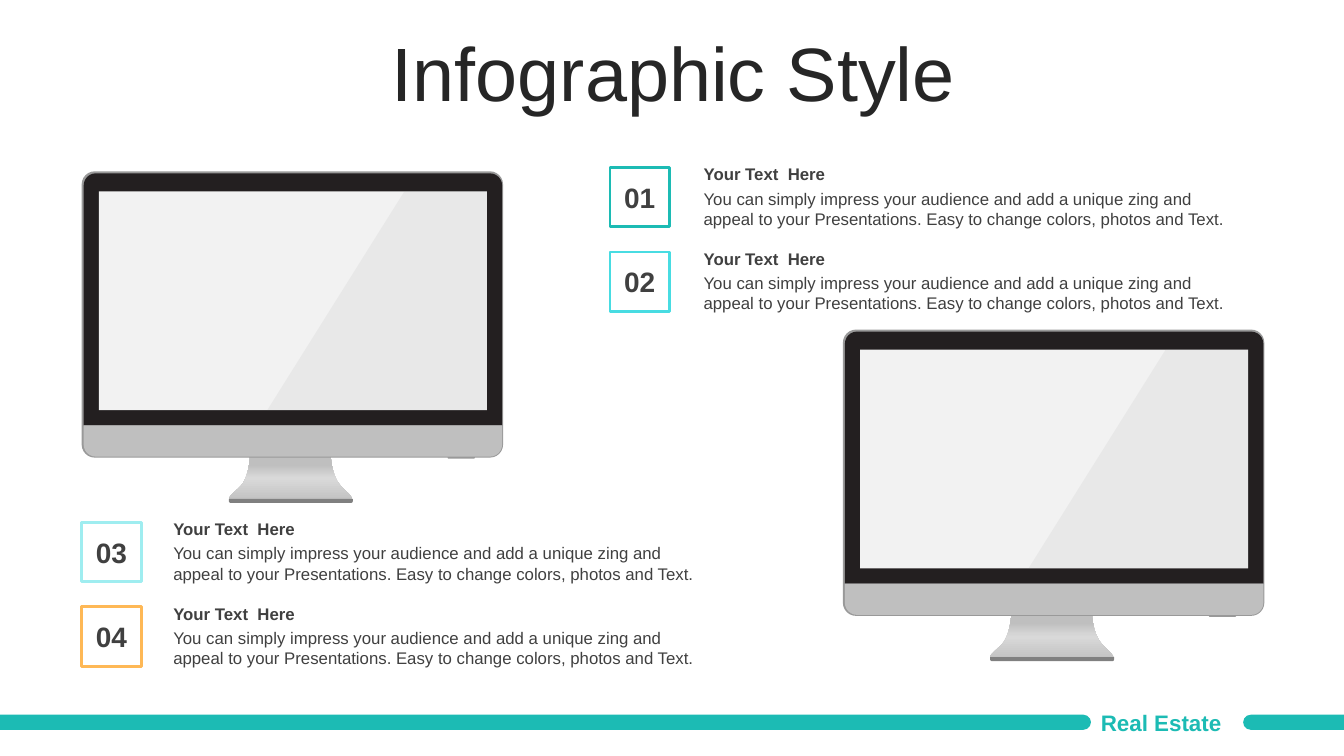
import lxml.etree
import pptx
import pptx.dml.color
import pptx.enum.shapes
import pptx.enum.text
import pptx.oxml.ns
import pptx.util

PX = 9144  # 100 px to the inch
FONT = "Arial"
COLORS = {
    "teal": "1CBBB4", "cyan": "48DCE2", "pale": "9FEDF0", "orange": "FEB856",
    "title": "262626", "text": "404040", "edge": "999999", "bezel": "231F20",
    "metal": "BFBFBF", "shine": "D9D9D9", "base": "808080", "screen": "F2F2F2",
}
HEADING = "Your Text  Here"
BODY = ("You can simply impress your audience and add a unique zing and "
        "appeal to your Presentations. Easy to change colors, photos and Text.")
NECK_START = (257, 312)
NECK_CURVES = [
    [(248, 303), (247, 283), (247, 283)],
    [(247, 283), (167, 283), (167, 283)],
    [(167, 283), (166, 303), (158, 312)],
    [(149, 321), (135, 329), (159, 329)],
    [(159, 329), (255, 329), (255, 329)],
    [(279, 329), (265, 321), (257, 312)],
]
GLARE = [(320, 20), (402, 20), (402, 237), (184, 237)]
SHAPES = pptx.enum.shapes.MSO_SHAPE
ALIGN = pptx.enum.text.PP_ALIGN
ANCHOR = pptx.enum.text.MSO_ANCHOR
qn = pptx.oxml.ns.qn


def rgb(name):
    return pptx.dml.color.RGBColor.from_string(COLORS[name])


def paint(sp, color):
    sp.shadow.inherit = False
    sp.line.fill.background()
    sp.fill.solid()
    sp.fill.fore_color.rgb = rgb(color)


def add_preset(s, kind, x, y, w, h, color, *radii):
    """Add a filled preset whose corner radii are given in px."""
    sp = s.shapes.add_shape(kind, x * PX, y * PX, w * PX, h * PX)
    paint(sp, color)
    for i, radius in enumerate(radii):
        sp.adjustments[i] = radius / min(w, h)
    return sp


def add_outline(s, x, y, points, color):
    """Add a closed filled polygon whose points are relative to (x, y)."""
    corners = [((x + px) * PX, (y + py) * PX) for px, py in points]
    builder = s.shapes.build_freeform(*corners[0])
    builder.add_line_segments(corners[1:], close=True)
    sp = builder.convert_to_shape()
    paint(sp, color)
    return sp


def trace(start, curves, steps=12):
    """Return points along a chain of cubic curves."""
    points = [start]
    for a, b, c in curves:
        o = points[-1]
        for i in range(1, steps + 1):
            t = i / steps
            u = 1 - t
            points.append(tuple(
                u**3 * o[k] + 3 * u * u * t * a[k] + 3 * u * t * t * b[k] + t**3 * c[k]
                for k in (0, 1)))
    return points


def set_metal_gradient(sp):
    sp.fill.gradient()
    sp.fill.gradient_angle = 90
    stops = sp._element.spPr.find(qn("a:gradFill")).find(qn("a:gsLst"))
    for stop in list(stops):
        stops.remove(stop)
    for pos, color in ((0, "metal"), (53, "shine"), (83, "metal"), (100, "metal")):
        stop = lxml.etree.SubElement(stops, qn("a:gs"), pos=str(pos * 1000))
        lxml.etree.SubElement(stop, qn("a:srgbClr"), val=COLORS[color])


def set_text(tf, text, size, color, bold=False, align=ALIGN.LEFT, anchor=ANCHOR.TOP):
    tf.word_wrap = True
    tf.vertical_anchor = anchor
    p = tf.paragraphs[0]
    p.text = text
    p.alignment = align
    p.font.name = FONT
    p.font.size = pptx.util.Pt(size)
    p.font.bold = bold
    p.font.color.rgb = rgb(color)
    return p


def add_text(s, x, y, w, h, *args, **style):
    tf = s.shapes.add_textbox(x * PX, y * PX, w * PX, h * PX).text_frame
    return set_text(tf, *args, **style)


def add_monitor(s, x, y):
    both, top = SHAPES.ROUNDED_RECTANGLE, SHAPES.ROUND_2_SAME_RECTANGLE
    set_metal_gradient(add_outline(s, x, y, trace(NECK_START, NECK_CURVES), "metal"))
    add_preset(s, both, x, y, 418, 284, "edge", 13)
    add_preset(s, top, x + 363, y + 282, 27, 3, "edge", 0, 1)
    add_preset(s, top, x + 2, y + 2, 415, 250, "bezel", 12, 0)
    add_preset(s, top, x + 146, y + 325, 123, 4, "base", 0, 2)
    add_preset(s, top, x + 2, y + 252, 415, 31, "metal", 0, 12)
    add_preset(s, SHAPES.RECTANGLE, x + 17, y + 20, 385, 217, "screen")
    glare = add_outline(s, x, y, GLARE, "edge")
    tint = glare._element.spPr.find(qn("a:solidFill"))[0]
    lxml.etree.SubElement(tint, qn("a:alpha"), val="10000")


def add_item(s, x, y, w, number, color):
    """Add a numbered square with text against the right edge of its box."""
    text_w = 559
    text_x = x + w - text_w
    add_text(s, text_x, y + 24, text_w, 50, BODY, 12, "text")
    add_text(s, text_x, y, text_w, 30, HEADING, 12, "text", bold=True)
    sp = s.shapes.add_shape(SHAPES.RECTANGLE, x * PX, (y + 8) * PX, 59 * PX, 59 * PX)
    sp.shadow.inherit = False
    sp.fill.background()
    sp.line.color.rgb = rgb(color)
    sp.line.width = pptx.util.Pt(2)
    tf = sp.text_frame
    tf.margin_left = tf.margin_right = 0
    set_text(tf, f"{number:02}", 20, "text", bold=True,
             align=ALIGN.CENTER, anchor=ANCHOR.MIDDLE)


def add_items(s, x, y, w, first, colors):
    for i, color in enumerate(colors):
        add_item(s, x, y + 84 * i, w, first + i, color)


def add_bar(s, x, y, length, thickness, rotation):
    """Add a bar with one round end, turned about its centre."""
    shift = (length - thickness) / 2
    sp = s.shapes.add_shape(SHAPES.ROUND_2_SAME_RECTANGLE, int((x + shift) * PX),
                            int((y - shift) * PX), thickness * PX, length * PX)
    paint(sp, "teal")
    sp.adjustments[0] = 0.5
    sp.rotation = rotation


def add_footer(s, y, w):
    add_bar(s, 0, y, 1082, 15, 90)
    add_bar(s, 1233, y, w - 1233, 15, 270)
    add_text(s, 1082, y - 11, 151, 37, "Real Estate", 16, "teal",
             bold=True, anchor=ANCHOR.MIDDLE)


def main():
    prs = pptx.Presentation()
    prs.slide_width, prs.slide_height = 1333 * PX, 750 * PX
    s = prs.slides.add_slide(prs.slide_layouts[6])
    add_monitor(s, 81, 170)
    add_monitor(s, 836, 327)
    add_footer(s, 709, 1333)
    title = add_text(s, 35, 37, 1266, 79, "Infographic Style", 54, "title",
                     align=ALIGN.CENTER, anchor=ANCHOR.MIDDLE)
    title.line_spacing = 0.9
    add_items(s, 605, 158, 642, 1, ["teal", "cyan"])
    add_items(s, 81, 510, 640, 3, ["pale", "orange"])
    prs.save("out.pptx")


if __name__ == "__main__":
    main()
